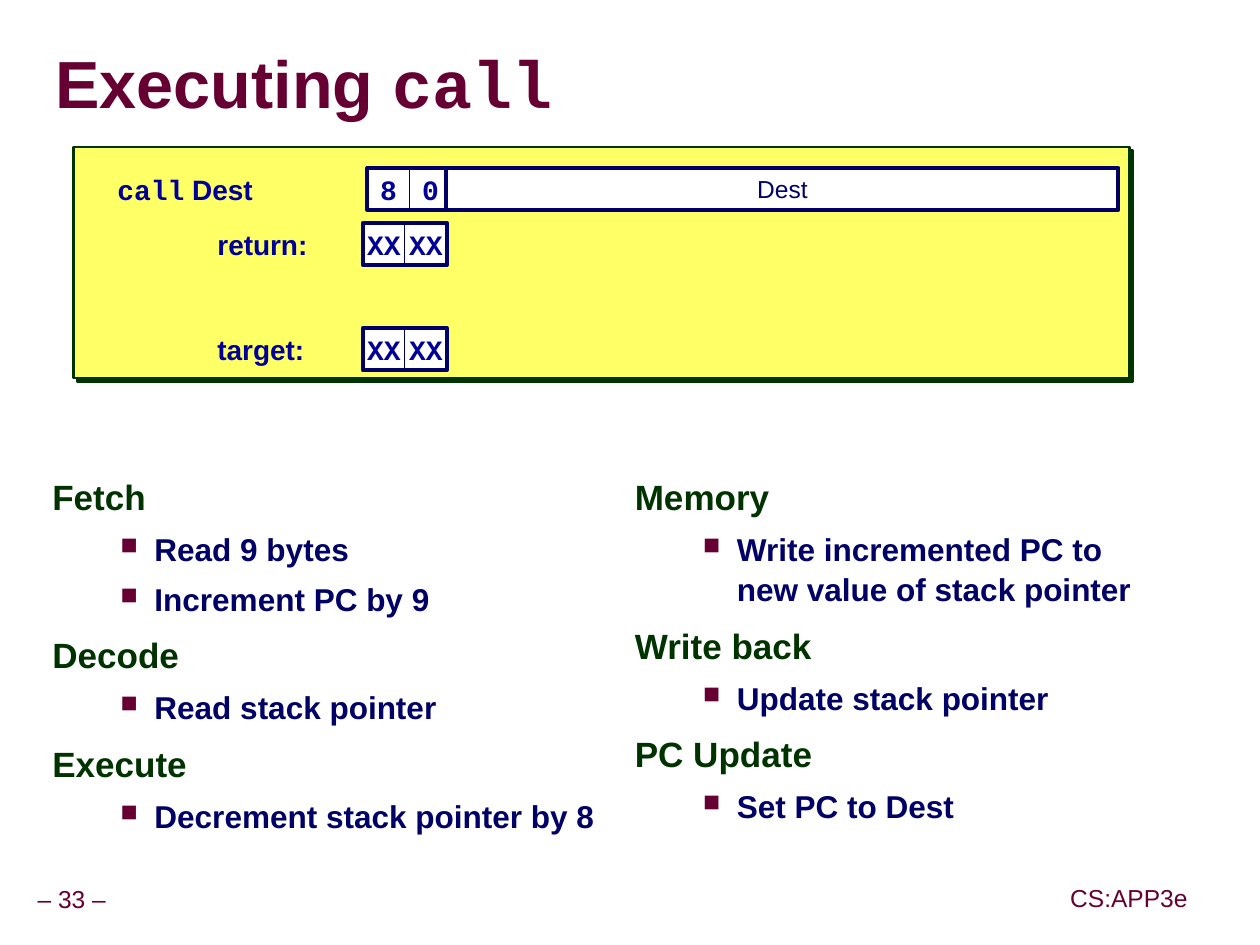
from dataclasses import dataclass
from typing import Any

from lxml import etree
from pptx import Presentation
from pptx.dml.color import RGBColor
from pptx.enum.shapes import MSO_SHAPE
from pptx.enum.text import MSO_ANCHOR, PP_ALIGN
from pptx.oxml.ns import qn
from pptx.util import Inches, Pt

RECTANGLE = MSO_SHAPE.RECTANGLE
MIDDLE, TOP = MSO_ANCHOR.MIDDLE, MSO_ANCHOR.TOP
LEFT, CENTER = PP_ALIGN.LEFT, PP_ALIGN.CENTER

WIDTH, HEIGHT = 9.99, 7.49
COLUMNS = 30
UNIT = WIDTH / COLUMNS


def color(value):
    return RGBColor.from_string(value)


def add_shadow(properties, value, distance, before=None):
    effects = etree.Element(qn("a:effectLst"))
    shadow = etree.SubElement(effects, qn("a:outerShdw"), dist=str(Pt(distance)),
                              dir="2700000", algn="ctr", rotWithShape="0")
    etree.SubElement(shadow, qn("a:srgbClr"), val=value)
    if before is None:
        properties.append(effects)
    else:
        before.addprevious(effects)


@dataclass
class StackSlide:
    slide: Any
    sans: str = "Arial"
    mono: str = "Courier New"
    maroon: str = "660033"
    green: str = "003300"
    navy: str = "000066"
    blue: str = "000099"
    yellow: str = "FFFF66"
    white: str = "FFFFFF"
    gray: str = "969696"

    def box(self, *grid):
        return [Inches(length * UNIT) for length in grid]

    def frame(self, shape, anchor=MIDDLE, inset=(0, 0), wrap=True):
        frame = shape.text_frame
        frame.word_wrap = wrap
        frame.vertical_anchor = anchor
        frame.margin_left = frame.margin_right = Inches(inset[0])
        frame.margin_top = frame.margin_bottom = Inches(inset[1])
        return frame

    def add_runs(self, paragraph, runs, size, value, bold=True, align=LEFT):
        paragraph.alignment = align
        for text, font in runs:
            run = paragraph.add_run()
            run.text = text
            run.font.name = font
            run.font.size = Pt(size)
            run.font.bold = bold
            run.font.color.rgb = color(value)

    def title(self, runs):
        title = self.slide.shapes.title
        title.left, title.top, title.width, title.height = self.box(1.32, 0.81, 28.56, 2.55)
        paragraph = self.frame(title).paragraphs[0]
        paragraph.line_spacing = 0.87
        self.add_runs(paragraph, runs, 38, self.maroon)
        for run in paragraph.runs:
            properties = run._r.get_or_add_rPr()
            add_shadow(properties, self.gray, 3, properties.find(qn("a:latin")))

    def rectangle(self, grid, fill, line, weight):
        shape = self.slide.shapes.add_shape(RECTANGLE, *self.box(*grid))
        shape.shadow.inherit = False
        if fill:
            shape.fill.solid()
            shape.fill.fore_color.rgb = color(fill)
        else:
            shape.fill.background()
        shape.line.color.rgb = color(line)
        shape.line.width = Pt(weight)
        return shape

    def panel(self, *grid):
        shape = self.rectangle(grid, self.yellow, self.green, 1.5)
        properties = shape._element.spPr
        properties.remove(properties.find(qn("a:effectLst")))
        add_shadow(properties, self.green, 2.8)

    def byte_pair(self, left, top, digits):
        for column, digit in enumerate(digits):
            cell = self.rectangle((left + column, top, 1, 1), self.white, self.navy, 0.5)
            frame = self.frame(cell, wrap=False)
            self.add_runs(frame.paragraphs[0], [(digit, self.mono)], 16, self.blue, align=CENTER)
        self.rectangle((left, top, len(digits), 1), None, self.navy, 2.25)

    def field(self, grid, text):
        shape = self.rectangle(grid, self.white, self.navy, 2.25)
        paragraph = self.frame(shape).paragraphs[0]
        self.add_runs(paragraph, [(text, self.sans)], 14, self.navy, False, CENTER)

    def label(self, grid, runs):
        shape = self.slide.shapes.add_textbox(*self.box(*grid))
        paragraph = self.frame(shape, inset=(0.1, 0.05)).paragraphs[0]
        self.add_runs(paragraph, runs, 16, self.blue)

    def footer(self, grid, text):
        shape = self.slide.shapes.add_textbox(*self.box(*grid))
        paragraph = self.frame(shape, inset=(0.05, 0.05), wrap=False).paragraphs[0]
        paragraph.line_spacing = 0.9
        self.add_runs(paragraph, [(text, self.sans)], 14, self.maroon, False, CENTER)

    def bullet(self, paragraph):
        properties = paragraph._p.get_or_add_pPr()
        properties.set("marL", str(Inches(0.81)))
        properties.set("indent", str(Inches(-0.27)))
        bullet_color = etree.SubElement(properties, qn("a:buClr"))
        etree.SubElement(bullet_color, qn("a:srgbClr"), val=self.maroon)
        etree.SubElement(properties, qn("a:buSzPct"), val="75000")
        etree.SubElement(properties, qn("a:buChar"), char="■")

    def stages(self, grid, stages):
        shape = self.slide.shapes.add_textbox(*self.box(*grid))
        frame = self.frame(shape, TOP, (0.1, 0.05))
        paragraph = frame.paragraphs[0]
        for index, (heading, steps) in enumerate(stages):
            if index:
                paragraph = frame.add_paragraph()
                paragraph.space_before = Pt(11)
            paragraph.line_spacing = 0.95
            self.add_runs(paragraph, [(heading, self.sans)], 20, self.green)
            for step in steps:
                paragraph = frame.add_paragraph()
                paragraph.space_before = Pt(5.5)
                paragraph.line_spacing = 1.05
                self.bullet(paragraph)
                self.add_runs(paragraph, [(step, self.sans)], 18, self.navy)


def main():
    presentation = Presentation()
    presentation.slide_width = Inches(WIDTH)
    presentation.slide_height = Inches(HEIGHT)
    page = StackSlide(presentation.slides.add_slide(presentation.slide_layouts[5]))

    page.footer((0.72, 20.97, 1.98, 0.93), "– 33 –")
    page.footer((25.32, 20.94, 3.12, 0.96), "CS:APP3e")
    page.title([("Executing ", page.sans), ("call", page.mono)])

    page.stages((0.95, 11.25, 13.8, 9.85), [
        ("Fetch", ["Read 9 bytes", "Increment PC by 9"]),
        ("Decode", ["Read stack pointer"]),
        ("Execute", ["Decrement stack pointer by 8"]),
    ])
    page.stages((14.82, 11.25, 13.35, 9.85), [
        ("Memory", ["Write incremented PC to new value of stack pointer"]),
        ("Write back", ["Update stack pointer"]),
        ("PC Update", ["Set PC to Dest"]),
    ])

    page.panel(1.75, 3.5, 25.15, 5.5)
    page.label((2.5, 4, 6.25, 1), [("call", page.mono), (" Dest", page.sans)])
    page.byte_pair(8.75, 4, ["8", "0"])
    page.field((10.63, 4, 16, 1), "Dest")
    for top, name in ((5.31, "return:"), (7.81, "target:")):
        page.byte_pair(8.64, top, ["XX", "XX"])
        page.label((4.88, top, 3.65, 1), [(name, page.sans)])

    presentation.save("out.pptx")


if __name__ == "__main__":
    main()
